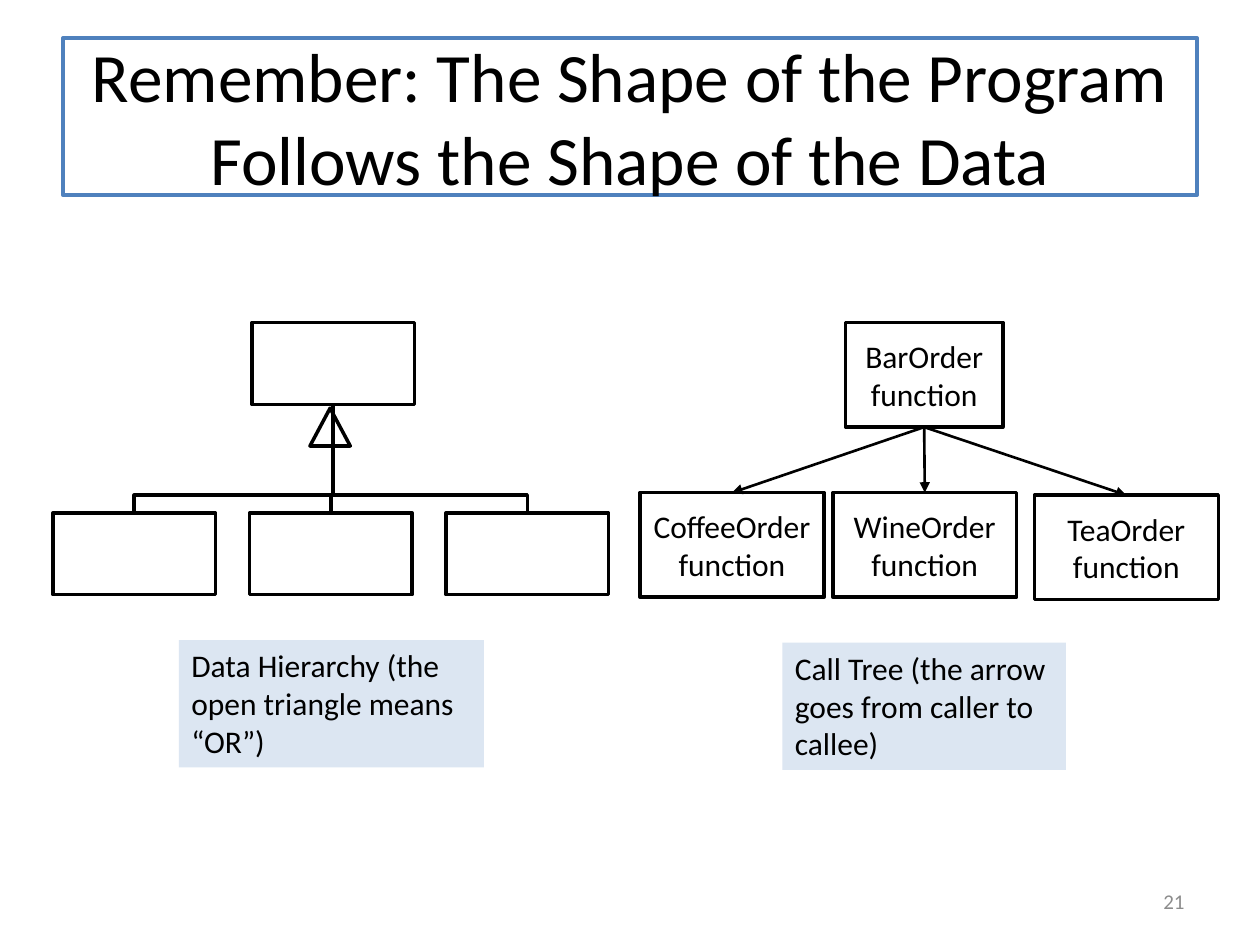
"""Build a slide pairing a data hierarchy with its call tree."""
from lxml import etree
from pptx import Presentation, util as u
from pptx.dml.color import RGBColor
from pptx.enum import shapes, text
from pptx.oxml.ns import qn

THEME = dict(
    font="Calibri", ink="000000", paper="FFFFFF", accent="4F81BD",
    note="DCE6F2", muted="8C8C8C",
    title=39.6, body=18, small=12, outline=2, arrow=1.5,
)
TITLE = "Remember: The Shape of the Program Follows the Shape of the Data"
PAGE = "21"

DATA_SIZE = (1.29, 0.65)
DATA_ROOT = (2, 2.56)
DATA_LEFTS = (0.42, 1.98, 3.54)
DATA_TOP, BRANCH_Y = 4.07, 3.93
TRIANGLE = (2.46, 3.24, 0.32, 0.3)

CALLER = ("BarOrder function", (6.71, 2.56, 1.25, 0.83))
CALLEES = [
    ("CoffeeOrder function", (5.08, 3.91, 1.46, 0.83)),
    ("WineOrder function", (6.61, 3.91, 1.46, 0.83)),
    ("TeaOrder function", (8.21, 3.93, 1.46, 0.83)),
]
NOTES = [
    ("Data Hierarchy (the open triangle means “OR”)", (1.42, 5.08, 2.42, 1.01)),
    ("Call Tree (the arrow goes from caller to callee)", (6.21, 5.1, 2.25, 1.01)),
]


def color(name):
    return RGBColor.from_string(THEME[name])


def paint(sp, fill=None, line=None):
    sp.shadow.inherit = False
    if fill:
        sp.fill.solid()
        sp.fill.fore_color.rgb = color(fill)
    else:
        sp.fill.background()
    if line:
        sp.line.color.rgb = color(line)
        sp.line.width = u.Pt(THEME["outline"])
    else:
        sp.line.fill.background()


def write(sp, words, size="body", ink="ink", align=text.PP_ALIGN.CENTER,
          anchor=text.MSO_ANCHOR.MIDDLE):
    tf = sp.text_frame
    tf.word_wrap = True
    tf.vertical_anchor = anchor
    p = tf.paragraphs[0]
    p.alignment = align
    r = p.add_run()
    r.text = words
    r.font.name = THEME["font"]
    r.font.size = u.Pt(THEME[size])
    r.font.color.rgb = color(ink)


def add_box(slide, box, fill=None, line=None, kind=shapes.MSO_SHAPE.RECTANGLE):
    sp = slide.shapes.add_shape(kind, *map(u.Inches, box))
    paint(sp, fill, line)
    return sp


def add_branch(slide, start, end):
    points = [start, (start[0], BRANCH_Y), (end[0], BRANCH_Y), end]
    emu = [(u.Inches(x), u.Inches(y)) for x, y in points]
    builder = slide.shapes.build_freeform(*emu[0])
    builder.add_line_segments(emu[1:], close=False)
    paint(builder.convert_to_shape(), line="ink")


def add_arrow(slide, start, end):
    cx = slide.shapes.add_connector(
        shapes.MSO_CONNECTOR.STRAIGHT, *map(u.Inches, start + end))
    cx.line.color.rgb = color("ink")
    cx.line.width = u.Pt(THEME["arrow"])
    etree.SubElement(cx.line._get_or_add_ln(), qn("a:tailEnd"), type="triangle")
    etree.SubElement(cx._element.spPr, qn("a:effectLst"))


def top(box):
    return box[0] + box[2] / 2, box[1]


def bottom(box):
    return box[0] + box[2] / 2, box[1] + box[3]


def add_data_hierarchy(slide):
    root = DATA_ROOT + DATA_SIZE
    leaves = [(left, DATA_TOP) + DATA_SIZE for left in DATA_LEFTS]
    for leaf in leaves:
        add_branch(slide, bottom(root), top(leaf))
    for box in [root] + leaves:
        add_box(slide, box, "paper", "ink")
    add_box(slide, TRIANGLE, line="ink",
            kind=shapes.MSO_SHAPE.ISOSCELES_TRIANGLE)


def add_call_tree(slide):
    for words, box in [CALLER] + CALLEES:
        write(add_box(slide, box, "paper", "ink"), words)
    for _, box in CALLEES:
        add_arrow(slide, bottom(CALLER[1]), top(box))


def main():
    prs = Presentation()
    prs.slide_width, prs.slide_height = u.Inches(10), u.Inches(7.5)
    slide = prs.slides.add_slide(prs.slide_layouts[6])
    add_data_hierarchy(slide)
    write(add_box(slide, (0.5, 0.3, 9, 1.25), line="accent"), TITLE, "title")
    page = slide.shapes.add_textbox(*map(u.Inches, (7.17, 6.95, 2.33, 0.4)))
    write(page, PAGE, "small", "muted", text.PP_ALIGN.RIGHT)
    add_call_tree(slide)
    for words, box in NOTES:
        sp = add_box(slide, box, "note")
        write(sp, words, align=text.PP_ALIGN.LEFT, anchor=text.MSO_ANCHOR.TOP)
        sp.text_frame.auto_size = text.MSO_AUTO_SIZE.SHAPE_TO_FIT_TEXT
    prs.save("out.pptx")


if __name__ == "__main__":
    main()
